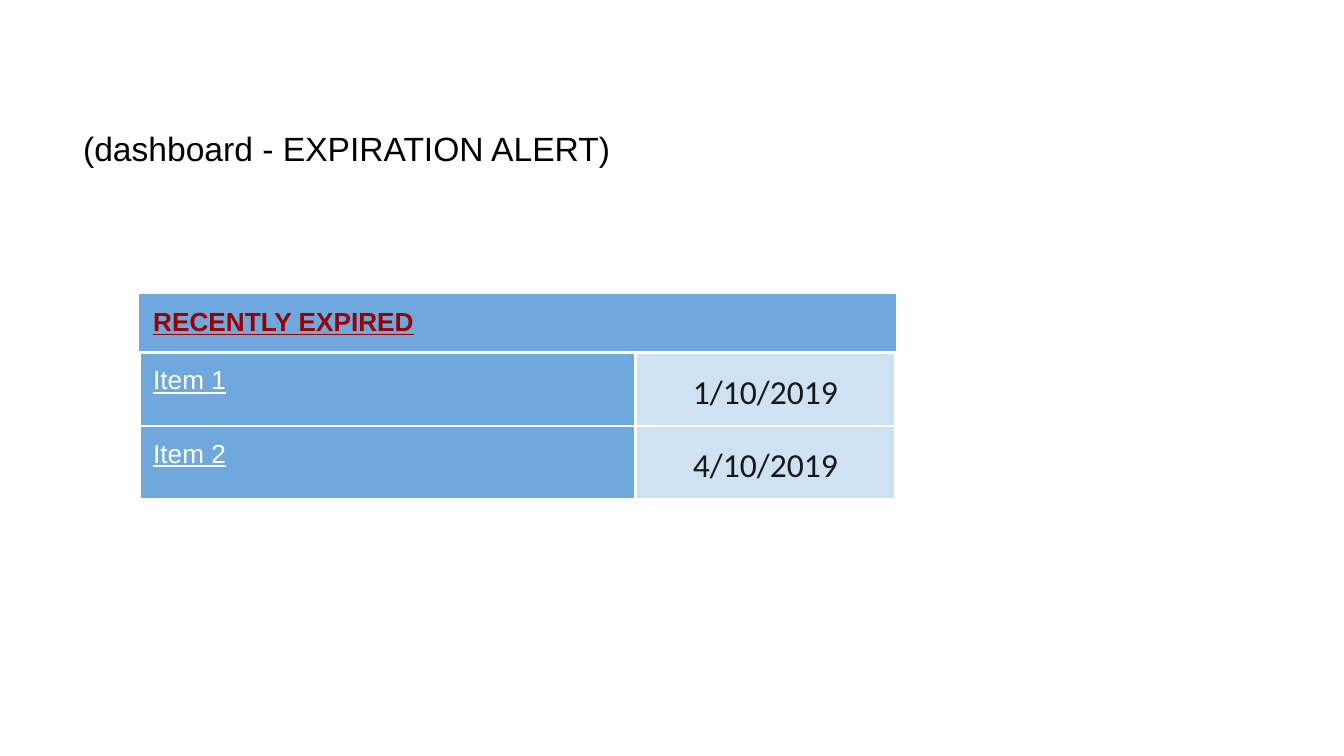
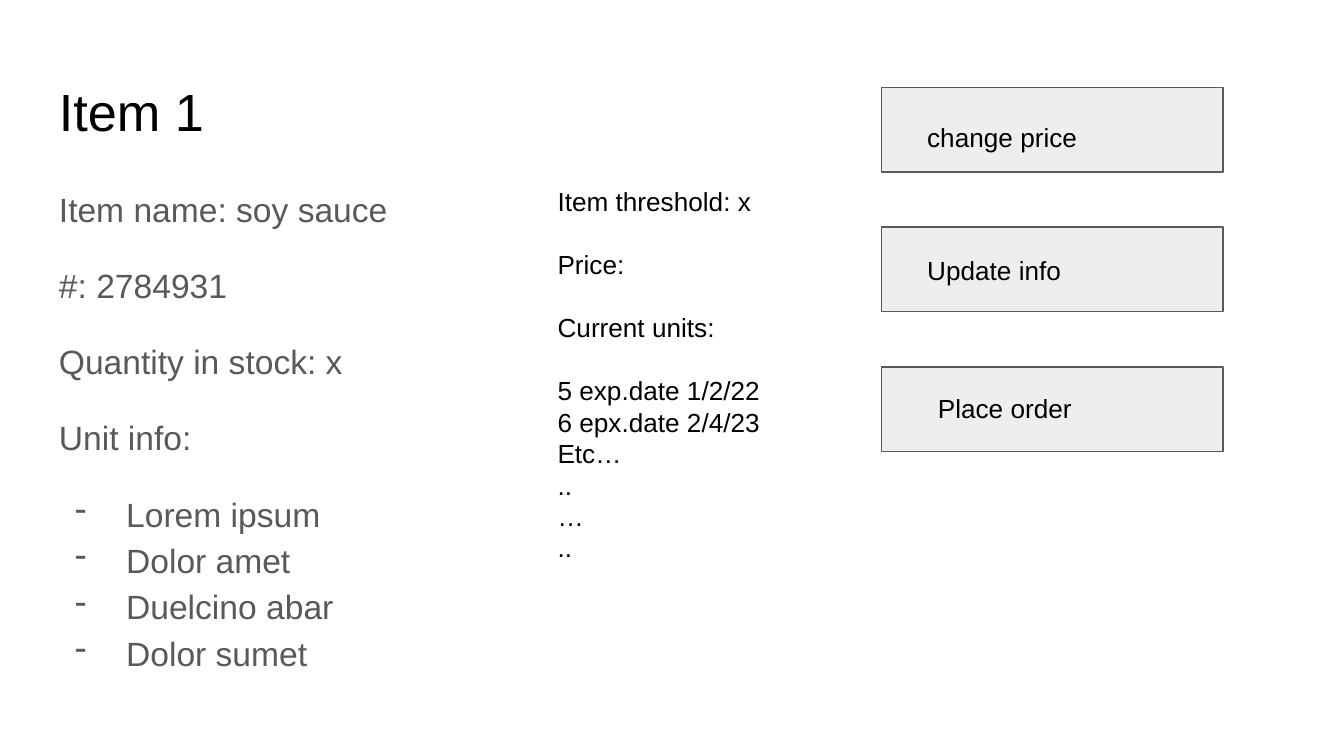
import pptx
import pptx.dml.color
import pptx.enum.shapes
import pptx.enum.text
import pptx.oxml
import pptx.oxml.ns
import pptx.util
from lxml import etree

# Shared style
BLACK, WHITE, GREY, PALE_GREY = "000000", "FFFFFF", "595959", "EEEEEE"
BLUE, PALE_BLUE, RED, INK = "6FA8DC", "CFE2F3", "990000", "181717"
CENTER = pptx.enum.text.PP_ALIGN.CENTER


def color(value):
    return pptx.dml.color.RGBColor.from_string(value)


def grid(count):
    """Length of a number of grid columns or rows, ten to the inch."""
    return pptx.util.Inches(count / 10)


class Slides:
    """Holds the deck, its style and the current slide."""

    font = "Arial"
    small, medium, large = 14, 18, 28

    def __init__(self):
        self.deck = pptx.Presentation()
        self.deck.slide_width = grid(100)
        self.deck.slide_height = grid(56.25)
        self.page = None

    def new_page(self):
        self.page = self.deck.slides.add_slide(self.deck.slide_layouts[6])

    def inset(self, holder):
        holder.margin_left = holder.margin_right = grid(1)
        holder.margin_top = holder.margin_bottom = grid(1)

    def add_span(self, para, text, size, ink, font=None, bold=False, underline=False):
        span = para.add_run()
        span.text = text
        span.font.name = font or self.font
        span.font.size = pptx.util.Pt(size)
        span.font.bold = bold
        span.font.underline = underline
        span.font.color.rgb = color(ink)

    def bullet(self, para):
        properties = para._p.get_or_add_pPr()
        properties.set("marL", str(grid(5)))
        properties.set("indent", str(-grid(3.8)))
        mark = etree.SubElement(properties, pptx.oxml.ns.qn("a:buChar"))
        mark.set("char", "-")

    def text(self, area, lines, size=small, ink=BLACK, spacing=None):
        """Each line is (text, points before, bulleted)."""
        box = self.page.shapes.add_textbox(*map(grid, area))
        frame = box.text_frame
        frame.word_wrap = True
        self.inset(frame)
        for index, (words, before, bulleted) in enumerate(lines):
            para = frame.add_paragraph() if index else frame.paragraphs[0]
            para.space_before = pptx.util.Pt(before)
            if spacing:
                para.line_spacing = spacing
            if bulleted:
                self.bullet(para)
            self.add_span(para, words, size, ink)

    def title(self, area, words, size):
        self.text(area, [(words, 0, False)], size)

    def button(self, area, label_area, label):
        box = self.page.shapes.add_shape(
            pptx.enum.shapes.MSO_SHAPE.RECTANGLE, *map(grid, area))
        box.shadow.inherit = False
        box.fill.solid()
        box.fill.fore_color.rgb = color(PALE_GREY)
        box.line.color.rgb = color(GREY)
        box.line.width = pptx.util.Pt(0.75)
        self.text(label_area, [(label, 0, False)])

    def table(self, left, top, columns, rows):
        table = self.page.shapes.add_table(
            len(rows), len(columns), grid(left), grid(top),
            grid(sum(columns)), grid(sum(rows))).table
        table.first_row = table.horz_banding = False
        for column, width in zip(table.columns, columns):
            column.width = grid(width)
        for row, height in zip(table.rows, rows):
            row.height = grid(height)
        return table

    def cell(self, cell, fill, edge=WHITE, edge_width=1.5):
        """Sets fill, margins and borders; the bottom border is always white."""
        self.inset(cell)
        properties = cell._tc.get_or_add_tcPr()
        for side in "LRTB":
            ink, width = (WHITE, 1.5) if side == "B" else (edge, edge_width)
            properties.append(pptx.oxml.parse_xml(
                f'<a:ln{side} {pptx.oxml.ns.nsdecls("a")} w="{pptx.util.Pt(width)}">'
                f'<a:solidFill><a:srgbClr val="{ink}"/></a:solidFill></a:ln{side}>'))
        cell.fill.solid()
        cell.fill.fore_color.rgb = color(fill)
        return cell.text_frame.paragraphs[0]


slides = Slides()

# Expiration alert
slides.new_page()
slides.title((5.2, 8.5, 43.1, 6.3), "(dashboard - EXPIRATION ALERT)", slides.medium)

items = [("Item 1", "1/10/2019"), ("Item 2", "4/10/2019")]
expired = slides.table(10.4, 21.9, [36.9, 19.3], [4.3] * (len(items) + 1))
expired.cell(0, 0).merge(expired.cell(0, 1))
header, _ = [slides.cell(expired.cell(0, column), BLUE, BLUE, 0.75)
             for column in range(2)]
slides.add_span(header, "RECENTLY EXPIRED", slides.small, RED, bold=True, underline=True)
for row, (name, date) in enumerate(items, 1):
    para = slides.cell(expired.cell(row, 0), BLUE)
    slides.add_span(para, name, slides.small, WHITE, underline=True)
    para = slides.cell(expired.cell(row, 1), PALE_BLUE)
    para.alignment = CENTER
    para.line_spacing = 1.15
    slides.add_span(para, date, slides.medium, INK, font="Calibri")

# Item details
slides.new_page()
slides.title((3.4, 4.9, 93.2, 6.3), "Item 1", slides.large)
slides.text((3.4, 12.6, 93.2, 37.4), [
    ("Item name: soy sauce", 0, False),
    ("#: 2784931", 16, False),
    ("Quantity in stock: x", 16, False),
    ("Unit info:", 16, False),
    ("Lorem ipsum", 16, True),
    ("Dolor amet", 0, True),
    ("Duelcino abar", 0, True),
    ("Dolor sumet", 0, True),
], slides.medium, GREY, 1.15)

# Stock and price, one line apart between groups
groups = [["Item threshold: x"], ["Price:"], ["Current units:"],
          ["5 exp.date 1/2/22", "6 epx.date 2/4/23", "Etc…", "..", "…", ".."]]
slides.text((40.5, 12.8, 54.2, 36.9), [
    (line, 17 if place == 0 and number else 0, False)
    for number, group in enumerate(groups)
    for place, line in enumerate(group)])

# Buttons
labels = [("change price", (68, 8, 21.1, 3.9)),
          ("Update info", (68, 17.9, 21.1, 3.9)),
          ("Place order", (68.8, 28.2, 19.4, 4.5))]
for number, (label, label_area) in enumerate(labels):
    slides.button((65.6, 6.5 + 10.4 * number, 25.4, 6.3), label_area, label)

slides.deck.save("out.pptx")
